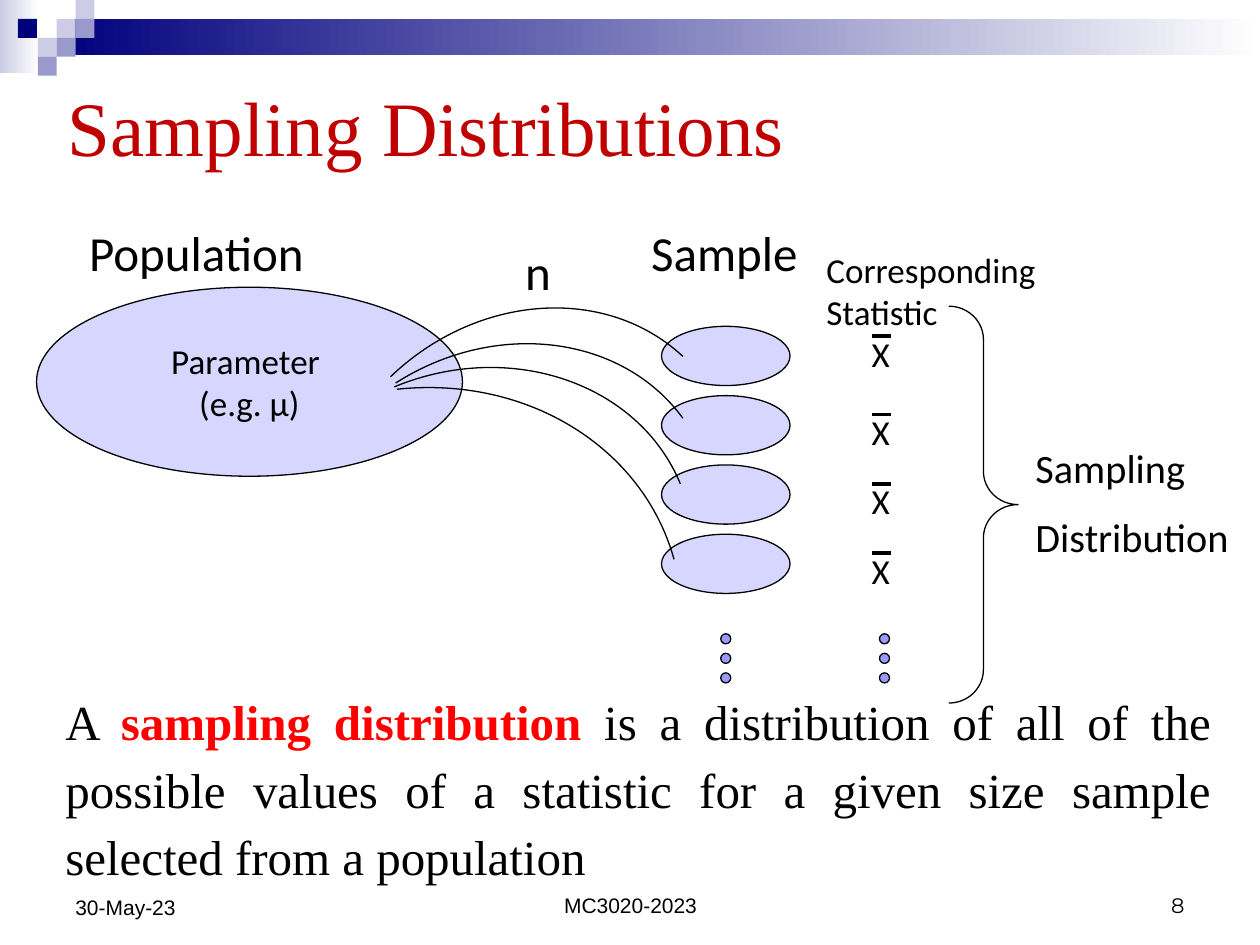
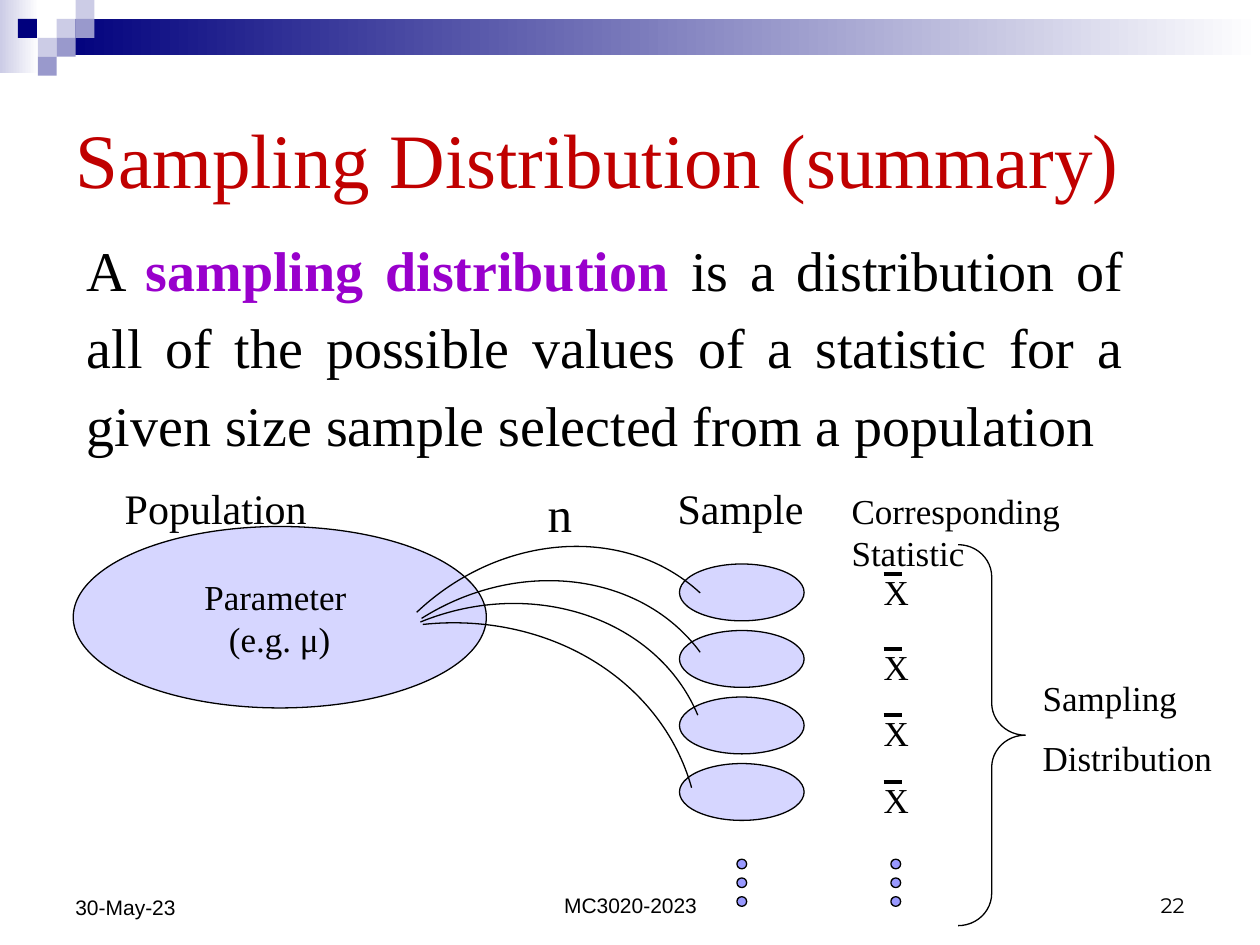
from dataclasses import dataclass

from lxml import etree
from pptx import Presentation
from pptx.dml.color import RGBColor
from pptx.enum.shapes import MSO_CONNECTOR, MSO_SHAPE
from pptx.enum.text import MSO_ANCHOR, PP_ALIGN
from pptx.oxml.ns import qn
from pptx.util import Inches, Pt

RECT, OVAL, BRACE = MSO_SHAPE.RECTANGLE, MSO_SHAPE.OVAL, MSO_SHAPE.RIGHT_BRACE
STRAIGHT = MSO_CONNECTOR.STRAIGHT
TOP, MIDDLE, BOTTOM = MSO_ANCHOR.TOP, MSO_ANCHOR.MIDDLE, MSO_ANCHOR.BOTTOM
LEFT, CENTER, RIGHT, JUSTIFY = (PP_ALIGN.LEFT, PP_ALIGN.CENTER,
                                PP_ALIGN.RIGHT, PP_ALIGN.JUSTIFY)


@dataclass(frozen=True)
class Theme:
    ink: str = "000000"
    title: str = "C00000"
    navy: str = "00007D"
    mid: str = "9999CC"
    pale: str = "CCCCE6"
    white: str = "FFFFFF"
    oval: str = "D6D6FF"
    dot: str = "9999FF"
    red: str = "FF0000"
    purple: str = "9900CC"
    serif: str = "Times New Roman"
    sans: str = "Calibri"
    footer: str = "Arial"
    number: str = "Montserrat"
    title_size: int = 44
    n_size: int = 28
    label_size: int = 20
    footer_size: int = 12
    thin: float = 0.75
    thick: float = 2.25


THEME = Theme()
SLIDE_W, SLIDE_H = 10, 7.5
CELL = 0.15  # side of one square of the corner mosaic
MOSAIC = [(3, 1, THEME.pale), (4, 0, THEME.pale), (4, 1, THEME.mid),
          (2, 2, THEME.pale), (0.95, 1, THEME.navy), (3, 2, THEME.mid),
          (2, 3, THEME.mid)]

# Cubic curves from the population to each sample, in diagram inches
SAMPLING_CURVES = [
    [(3.10, 2.99), (3.79, 2.33), (4.81, 2.26), (5.42, 2.83)],
    [(3.14, 3.04), (3.94, 2.53), (4.94, 2.66), (5.42, 3.32)],
    [(3.13, 3.07), (4.05, 2.69), (5.07, 3.04), (5.40, 3.84)],
    [(3.15, 3.09), (4.17, 2.98), (5.10, 3.54), (5.35, 4.44)],
]
SAMPLE_TOP, SAMPLE_PITCH = 2.59, 0.55


@dataclass(frozen=True)
class Diagram:
    """Type choices of one diagram and its mapping onto the slide."""
    font: str
    heading_size: int
    group_size: int
    group_gap: int
    sample_left: float
    heading_top: float
    statistic_left: float
    origin: tuple = (0, 0)
    scale: tuple = (1, 1)

    def point(self, x, y):
        return (self.origin[0] + x * self.scale[0],
                self.origin[1] + y * self.scale[1])

    def box(self, x, y, w, h):
        return (*self.point(x, y), w * self.scale[0], h * self.scale[1])


def rgb(color):
    return RGBColor.from_string(color)


def add_run(paragraph, words, font, size, color=THEME.ink, bold=False):
    run = paragraph.add_run()
    run.text = words
    run.font.name, run.font.size, run.font.bold = font, Pt(size), bold
    run.font.color.rgb = rgb(color)


def fill_text(frame, lines, font, size, color=THEME.ink, align=LEFT,
              anchor=TOP, gap=0):
    frame.vertical_anchor = anchor
    for index, line in enumerate(lines):
        paragraph = frame.add_paragraph() if index else frame.paragraphs[0]
        paragraph.alignment = align
        if index:
            paragraph.space_before = Pt(gap)
        add_run(paragraph, line, font, size, color)


def text_frame(slide, box):
    frame = slide.shapes.add_textbox(*map(Inches, box)).text_frame
    frame.word_wrap = True
    return frame


def add_text(slide, box, lines, font, size, **style):
    fill_text(text_frame(slide, box), lines, font, size, **style)


def outline(shape, color=THEME.ink):
    shape.shadow.inherit = False
    shape.line.color.rgb = rgb(color)
    shape.line.width = Pt(THEME.thin)


def add_block(slide, box, color, fade=False):
    """Borderless rectangle, plain or fading to white on the right."""
    block = slide.shapes.add_shape(RECT, *map(Inches, box))
    block.shadow.inherit = False
    block.line.fill.background()
    if fade:
        block.fill.gradient()
        block.fill.gradient_angle = 0
        for stop, tone in zip(block.fill.gradient_stops, (color, THEME.white)):
            stop.color.rgb = rgb(tone)
    else:
        block.fill.solid()
        block.fill.fore_color.rgb = rgb(color)


def add_oval(slide, box, color):
    oval = slide.shapes.add_shape(OVAL, *map(Inches, box))
    outline(oval)
    oval.fill.solid()
    oval.fill.fore_color.rgb = rgb(color)
    return oval


def add_bar(slide, start, end):
    """Heavy stroke over an X."""
    bar = slide.shapes.add_connector(STRAIGHT, *map(Inches, (*start, *end)))
    bar.line.color.rgb = rgb(THEME.ink)
    bar.line.width = Pt(THEME.thick)
    etree.SubElement(bar._element.spPr, qn("a:effectLst"))


def add_curve(slide, controls):
    """Cubic curve: the three straight segments become one Bezier segment."""
    start, *others = [tuple(map(Inches, control)) for control in controls]
    builder = slide.shapes.build_freeform(*start)
    builder.add_line_segments(others, close=False)
    curve = builder.convert_to_shape()
    outline(curve)
    curve.fill.background()
    outline_path = next(curve._element.iter(qn("a:path")))
    cubic = etree.SubElement(outline_path, qn("a:cubicBezTo"))
    for segment in outline_path.findall(qn("a:lnTo")):
        cubic.append(segment[0])
        outline_path.remove(segment)


def add_header(slide):
    add_block(slide, (0, 0, 0.31, 0.58), THEME.pale, fade=True)
    add_block(slide, (3 * CELL, CELL, SLIDE_W - 3 * CELL, 0.29),
              THEME.navy, fade=True)
    for column, row, color in MOSAIC:
        add_block(slide, (column * CELL, row * CELL, CELL, CELL), color)


def add_title(slide, box, title):
    add_text(slide, box, [title], THEME.serif, THEME.title_size,
             color=THEME.title, anchor=MIDDLE)


def add_footer(slide, number):
    for box, words, font, align in [
            ((3.42, 6.83, 3.17, 0.5), "MC3020-2023", THEME.footer, CENTER),
            ((0.5, 6.83, 2.33, 0.52), "30-May-23", THEME.footer, LEFT),
            ((7.17, 6.83, 2.33, 0.5), number, THEME.number, RIGHT)]:
        add_text(slide, box, [words], font, THEME.footer_size,
                 align=align, anchor=BOTTOM)


def add_definition(slide, box, size, accent):
    paragraph = text_frame(slide, box).paragraphs[0]
    paragraph.alignment = JUSTIFY
    paragraph.line_spacing = 1.15
    add_run(paragraph, "A ", THEME.serif, size)
    add_run(paragraph, "sampling distribution ", THEME.serif, size, accent, True)
    add_run(paragraph, "is a distribution of all of the possible values of a "
            "statistic for a given size sample selected from a population",
            THEME.serif, size)


def add_population(slide, diagram):
    population = add_oval(slide, diagram.box(0.29, 2.28, 3.38, 1.5), THEME.oval)
    population.text_frame.word_wrap = False
    fill_text(population.text_frame, ["Parameter ", "(e.g. μ)"], diagram.font,
              THEME.label_size, align=CENTER, anchor=MIDDLE)


def add_headings(slide, diagram):
    n_left, n_top = diagram.point(4.07, 1.87)
    population_left = diagram.point(0.61, 0)[0]
    statistic_top = diagram.point(0, 1.92)[1]
    for box, words, size in [
            ((population_left, diagram.heading_top, 2.36, 0.57),
             "Population", diagram.heading_size),
            ((diagram.sample_left, diagram.heading_top, 1.43, 0.57),
             "Sample", diagram.heading_size),
            ((n_left, n_top, 0.47, 0.57), "n", THEME.n_size),
            ((diagram.statistic_left, statistic_top, 2.15, 0.77),
             "Corresponding Statistic", THEME.label_size)]:
        add_text(slide, box, [words], diagram.font, size)


def add_sample(slide, diagram, row, controls):
    """One sample oval, its curve from the population, and its mean."""
    top = SAMPLE_TOP + row * SAMPLE_PITCH
    mean_top = top + (0.07 if row else 0)
    add_oval(slide, diagram.box(5.25, top, 1.02, 0.47), THEME.oval)
    add_curve(slide, [diagram.point(*control) for control in controls])
    add_text(slide, (*diagram.point(6.82, mean_top), 0.39, 0.44), ["X"],
             diagram.font, THEME.label_size)
    add_bar(slide, diagram.point(6.92, mean_top + 0.08),
            diagram.point(7.07, mean_top + 0.08))


def add_continuation_dots(slide, diagram):
    for left in (5.72, 6.98):
        for row in range(3):
            add_oval(slide, diagram.box(left, 5.03 + row * 0.155, 0.08, 0.08),
                     THEME.dot)


def add_distribution_brace(slide, diagram):
    brace = slide.shapes.add_shape(
        BRACE, *map(Inches, diagram.box(7.53, 2.43, 0.55, 3.15)))
    outline(brace)
    brace.fill.background()
    brace.adjustments[0], brace.adjustments[1] = 0.48, 0.5
    add_text(slide, (*diagram.point(8.12, 3.47), 1.74, 1.07),
             ["Sampling", "Distribution"], diagram.font, diagram.group_size,
             gap=diagram.group_gap)


def add_diagram(slide, diagram):
    add_population(slide, diagram)
    add_headings(slide, diagram)
    for row, controls in enumerate(SAMPLING_CURVES):
        add_sample(slide, diagram, row, controls)
    add_continuation_dots(slide, diagram)
    add_distribution_brace(slide, diagram)


def new_slide(deck, title_box, title):
    slide = deck.slides.add_slide(deck.slide_layouts[6])
    add_header(slide)
    add_title(slide, title_box, title)
    return slide


def main():
    deck = Presentation()
    deck.slide_width, deck.slide_height = Inches(SLIDE_W), Inches(SLIDE_H)

    overview = new_slide(deck, (0.44, 0.21, 7.89, 1.58),
                         "Sampling Distributions")
    add_diagram(overview, Diagram(
        THEME.sans, heading_size=28, group_size=23, group_gap=12,
        sample_left=5.07, heading_top=1.72, statistic_left=6.46))
    add_definition(overview, (0.42, 5.37, 9.29, 1.89), 28, THEME.red)
    add_footer(overview, "8")

    summary = new_slide(deck, (0.5, 0.5, 9, 1.5),
                        "Sampling Distribution (summary)")
    add_definition(summary, (0.59, 1.74, 8.43, 1.98), 32, THEME.purple)
    add_diagram(summary, Diagram(
        THEME.serif, heading_size=24, group_size=20, group_gap=10,
        sample_left=5.28, heading_top=3.78, statistic_left=6.66,
        origin=(0.3, 1.99), scale=(0.97, 0.96)))
    add_footer(summary, "22")

    deck.save("out.pptx")


if __name__ == "__main__":
    main()
